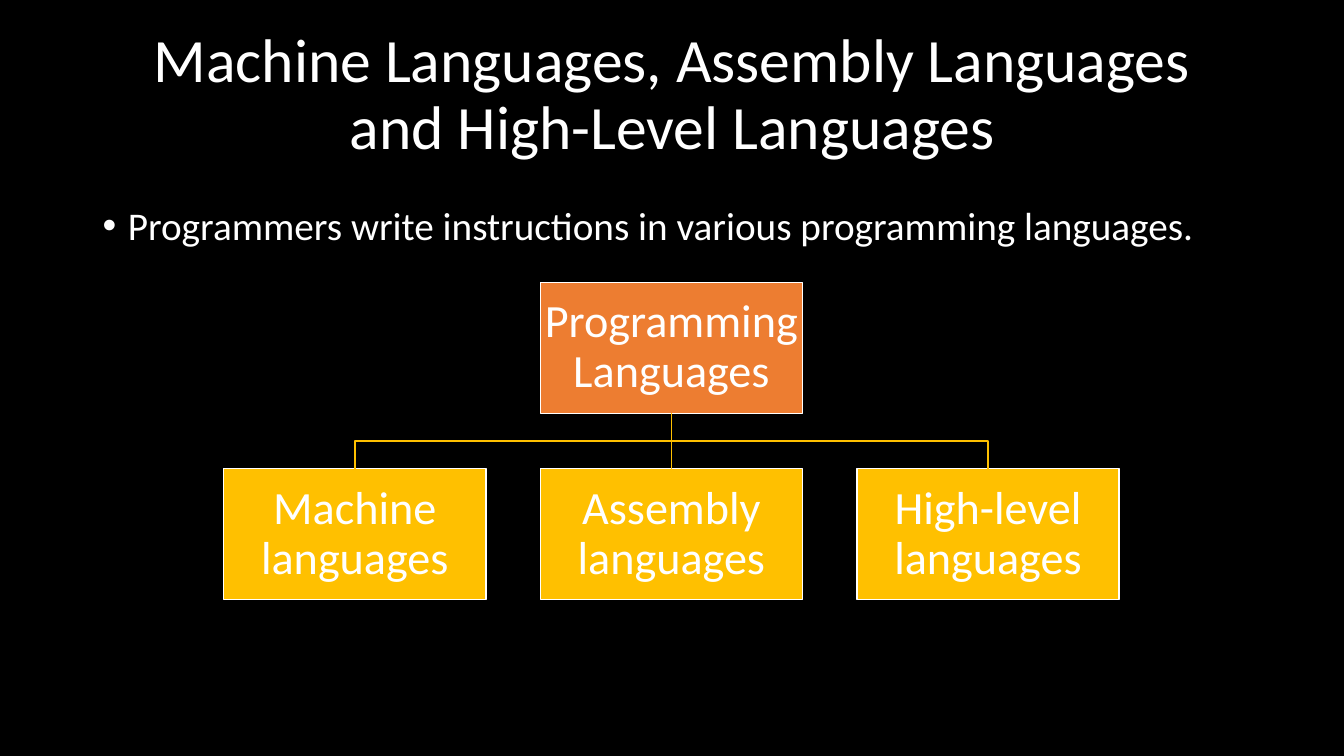
from lxml import etree
from pptx import Presentation
from pptx.dml.color import RGBColor
from pptx.enum import shapes, text
from pptx.oxml import ns
from pptx.util import Inches, Pt

COLORS = {"background": "000000", "text": "FFFFFF", "root": "ED7D31", "branch": "FFC000"}
FONT = "Calibri"
BOX_WIDTH, BOX_HEIGHT = 2.6, 1.3
COLUMN_GAP, ROW_GAP = 0.54, 0.55


def color(name):
    """Return the named palette colour."""
    return RGBColor.from_string(COLORS[name])


def style_paragraph(paragraph, size, alignment):
    """Set the font, alignment and line spacing of a paragraph."""
    paragraph.alignment = alignment
    paragraph.line_spacing = 0.9
    paragraph.font.name = FONT
    paragraph.font.size = Pt(size)
    paragraph.font.color.rgb = color("text")


def add_title(slide, left, top, width, height, words):
    """Place and format the title placeholder."""
    title = slide.shapes.title
    title.left, title.top = Inches(left), Inches(top)
    title.width, title.height = Inches(width), Inches(height)
    frame = title.text_frame
    frame.text = words
    frame.word_wrap = True
    frame.auto_size = text.MSO_AUTO_SIZE.NONE
    frame.vertical_anchor = text.MSO_ANCHOR.MIDDLE
    style_paragraph(frame.paragraphs[0], 44, text.PP_ALIGN.CENTER)


def add_bullet(slide, left, top, width, height, words):
    """Add a text box holding one bulleted paragraph."""
    body = slide.shapes.add_textbox(Inches(left), Inches(top), Inches(width), Inches(height))
    frame = body.text_frame
    frame.word_wrap = True
    paragraph = frame.paragraphs[0]
    paragraph.text = words
    properties = paragraph._p.get_or_add_pPr()
    properties.set("marL", str(Inches(0.25)))
    properties.set("indent", str(Inches(-0.25)))
    etree.SubElement(properties, ns.qn("a:buFont"), typeface="Arial")
    etree.SubElement(properties, ns.qn("a:buChar"), char="•")
    style_paragraph(paragraph, 28, text.PP_ALIGN.LEFT)


def add_box(slide, left, top, words, fill):
    """Add one labelled box of the hierarchy."""
    box = slide.shapes.add_shape(
        shapes.MSO_SHAPE.RECTANGLE, Inches(left), Inches(top), Inches(BOX_WIDTH), Inches(BOX_HEIGHT)
    )
    box.shadow.inherit = False
    box.fill.solid()
    box.fill.fore_color.rgb = color(fill)
    box.line.color.rgb = color("text")
    box.line.width = Pt(1)
    frame = box.text_frame
    frame.word_wrap = True
    frame.vertical_anchor = text.MSO_ANCHOR.MIDDLE
    frame.margin_left = frame.margin_right = Inches(0.02)
    frame.margin_top = frame.margin_bottom = Inches(0.02)
    frame.text = words
    style_paragraph(frame.paragraphs[0], 33, text.PP_ALIGN.CENTER)
    return box


def join_boxes(slide, parent, child):
    """Link a parent to a child, straight when aligned and stepped otherwise."""
    start_x, start_y = parent.left + parent.width // 2, parent.top + parent.height
    end_x, end_y = child.left + child.width // 2, child.top
    if start_x == end_x:
        link = slide.shapes.add_connector(
            shapes.MSO_CONNECTOR.STRAIGHT, start_x, start_y, end_x, end_y
        )
        link.begin_connect(parent, 2)
        link.end_connect(child, 0)
        etree.SubElement(link._element.spPr, ns.qn("a:effectLst"))
    else:
        middle_y = (start_y + end_y) // 2
        builder = slide.shapes.build_freeform(start_x, start_y)
        builder.add_line_segments(
            [(start_x, middle_y), (end_x, middle_y), (end_x, end_y)], close=False
        )
        link = builder.convert_to_shape()
        link.fill.background()
        link.shadow.inherit = False
    link.line.color.rgb = color("branch")
    link.line.width = Pt(1)


def add_hierarchy(slide, left, top, root_words, child_words):
    """Draw a root box centred above a row of child boxes."""
    step = BOX_WIDTH + COLUMN_GAP
    root_left = left + step * (len(child_words) - 1) / 2
    root = add_box(slide, root_left, top, root_words, "root")
    child_top = top + BOX_HEIGHT + ROW_GAP
    for column, words in enumerate(child_words):
        child = add_box(slide, left + column * step, child_top, words, "branch")
        join_boxes(slide, root, child)


def main():
    """Build and save the slide."""
    presentation = Presentation()
    presentation.slide_width, presentation.slide_height = Inches(13.33), Inches(7.5)
    slide = presentation.slides.add_slide(presentation.slide_layouts.get_by_name("Title Only"))
    slide.background.fill.solid()
    slide.background.fill.fore_color.rgb = color("background")
    add_title(slide, 0.92, 0.23, 11.5, 1.45,
              "Machine Languages, Assembly Languages and High-Level Languages")
    add_bullet(slide, 0.92, 2, 11.5, 4.76,
               "Programmers write instructions in various programming languages.")
    add_hierarchy(slide, 2.22, 2.8, "Programming Languages",
                  ["Machine languages", "Assembly languages", "High-level languages"])
    presentation.save("out.pptx")


if __name__ == "__main__":
    main()
